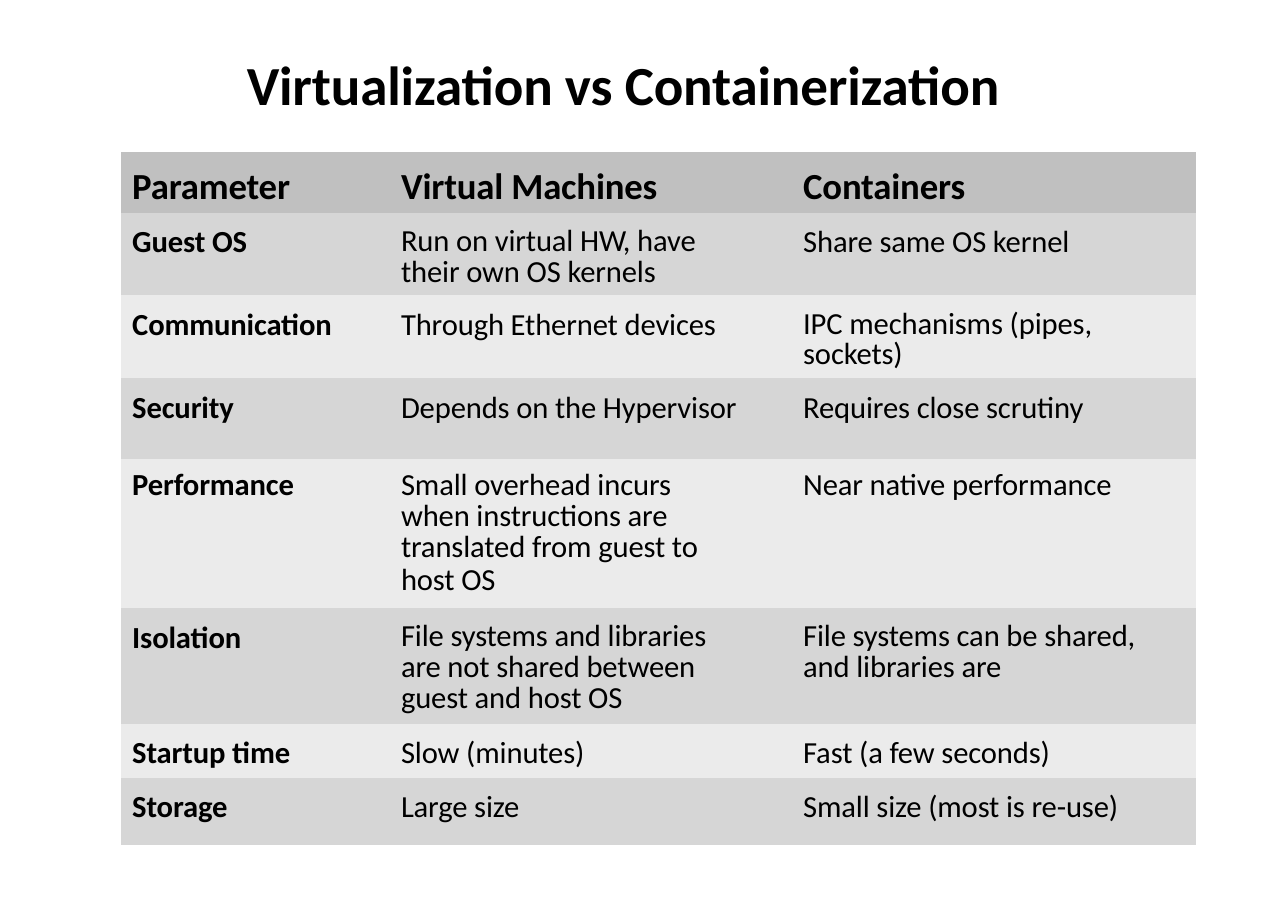
from lxml.etree import SubElement
from pptx import Presentation
from pptx.dml.color import RGBColor
from pptx.enum.text import MSO_ANCHOR, MSO_AUTO_SIZE, PP_ALIGN
from pptx.oxml.ns import qn
from pptx.util import Inches, Pt

COLORS = {"text": "000000", "head": "C0C0C0", "dark": "D6D6D6", "light": "EBEBEB"}
PLAIN = "{2D5ABB26-0587-4C30-8999-92F81FD0307C}"  # table style without grid
WIDTHS = [2.37, 3.68, 3.71]
INDENTS = [0.1, 0.17, 0.14]
RIGHT = 0.38

# height, fill, top inset, exact line height in points, cell texts
ROWS = [
    (0.55, "head", 0.11, None, ["Parameter", "Virtual Machines", "Containers"]),
    (0.75, "dark", 0.1, None,
     ["Guest OS", "Run on virtual HW, have their own OS kernels", "Share same OS kernel"]),
    (0.75, "light", 0.1, None,
     ["Communication", "Through Ethernet devices", "IPC mechanisms (pipes, sockets)"]),
    (0.74, "dark", 0.1, None,
     ["Security", "Depends on the Hypervisor", "Requires close scrutiny"]),
    (0.42, "light", 0.1, 22.1,
     ["Performance", "Small overhead incurs", "Near native performance"]),
    (0.28, "light", 0, 19, ["", "when instructions are", ""]),
    (0.28, "light", 0, 19, ["", "translated from guest to", ""]),
    (0.37, "light", 0, 20.9, ["", "host OS", ""]),
    (1.05, "dark", 0.1, None,
     ["Isolation", "File systems and libraries are not shared between guest and host OS",
      "File systems can be shared, and libraries are"]),
    (0.49, "light", 0.1, None, ["Startup time", "Slow (minutes)", "Fast (a few seconds)"]),
    (0.61, "dark", 0.1, None, ["Storage", "Large size", "Small size (most is re-use)"]),
]
# cells (row, column) whose text runs over several lines
WRAPPED = {(1, 1), (2, 2), (8, 1), (8, 2)}


def apply(target, values):
    for name, value in values.items():
        setattr(target, name, value)


def color(name):
    return RGBColor.from_string(COLORS[name])


class Deck:
    def __init__(self, width, height):
        self.prs = Presentation()
        apply(self.prs, {"slide_width": Inches(width), "slide_height": Inches(height)})
        self.slide = self.prs.slides.add_slide(self.prs.slide_layouts[5])
        self.font = "Calibri"

    def text(self, para, words, size, bold):
        run = para.add_run()
        run.text = words
        apply(run.font, {"name": self.font, "size": Pt(size), "bold": bold})
        run.font.color.rgb = color("text")
        run._r.get_or_add_rPr().set("spc", "-10")

    def title(self, words, left, top, width, height):
        shape = self.slide.shapes.title
        apply(shape, {"left": Inches(left), "top": Inches(top),
                      "width": Inches(width), "height": Inches(height)})
        frame = shape.text_frame
        apply(frame, {"margin_left": Inches(0.01), "margin_top": Inches(0.01),
                      "margin_right": 0, "margin_bottom": 0, "word_wrap": True,
                      "vertical_anchor": MSO_ANCHOR.TOP,
                      "auto_size": MSO_AUTO_SIZE.SHAPE_TO_FIT_TEXT})
        para = frame.paragraphs[0]
        para.alignment = PP_ALIGN.LEFT
        self.text(para, words, 36, True)

    def cell(self, cell, words, fill, inset, line, indent, size, bold):
        apply(cell, {"margin_left": 0, "margin_top": Inches(inset), "margin_right": 0,
                     "margin_bottom": 0, "vertical_anchor": MSO_ANCHOR.TOP})
        cell.fill.solid()
        cell.fill.fore_color.rgb = color(fill)
        para = cell.text_frame.paragraphs[0]
        props = para._p.get_or_add_pPr()
        for name, value in {"marL": indent, "marR": RIGHT, "indent": 0}.items():
            props.set(name, str(int(Inches(value))))
        if line:
            para.line_spacing = Pt(line)
        if words:
            self.text(para, words, size, bold)
        else:
            SubElement(para._p, qn("a:endParaRPr"), sz="1000")

    def table(self, left, top, rows):
        total = sum(row[0] for row in rows)
        frame = self.slide.shapes.add_table(
            len(rows), len(WIDTHS), Inches(left), Inches(top),
            Inches(sum(WIDTHS)), Inches(total))
        table = frame.table
        apply(table, {"first_row": False, "horz_banding": False})
        table._tbl.tblPr.find(qn("a:tableStyleId")).text = PLAIN
        for col, width in zip(table.columns, WIDTHS):
            col.width = Inches(width)
        for r, (height, fill, inset, line, texts) in enumerate(rows):
            table.rows[r].height = Inches(height)
            for c, words in enumerate(texts):
                space, lead = (0.15, 20) if (r, c) in WRAPPED else (inset, line)
                self.cell(table.cell(r, c), words, fill, space, lead, INDENTS[c],
                          size=20 if r else 24, bold=r == 0 or c == 0)


def main():
    deck = Deck(11.69, 8.26)
    deck.title("Virtualization vs Containerization", 2.23, 0.45, 7.24, 0.56)
    deck.table(1.1, 1.38, ROWS)
    deck.prs.save("out.pptx")


if __name__ == "__main__":
    main()
